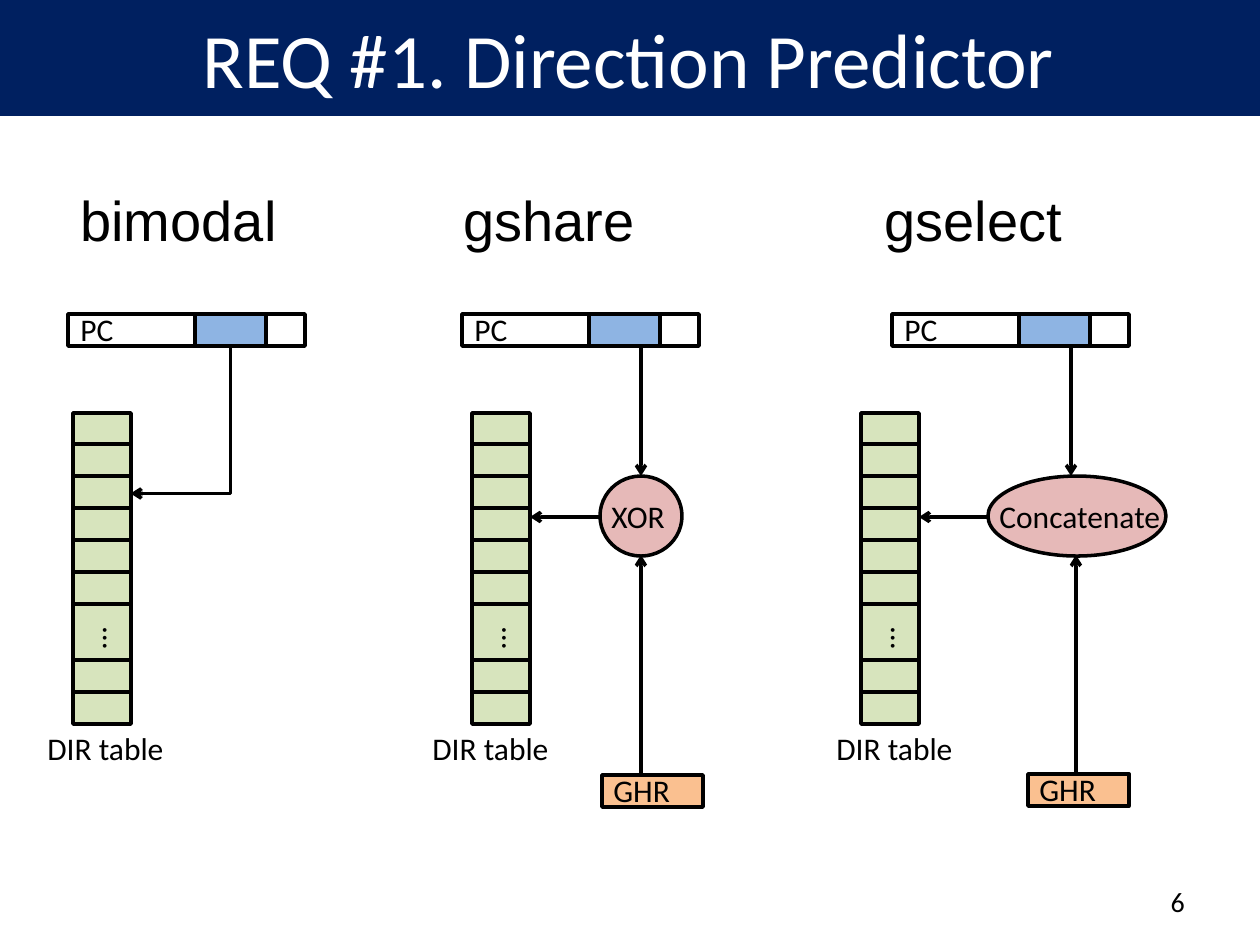
import pptx
import pptx.util
import pptx.oxml
import pptx.oxml.ns
from pptx.dml.color import RGBColor
from pptx.enum.shapes import MSO_CONNECTOR, MSO_SHAPE
from pptx.enum.text import MSO_ANCHOR, MSO_AUTO_SIZE, PP_ALIGN

EMU_PER_PX = 914400 / 126
COLORS = {
    "navy": "002060", "white": "FFFFFF", "black": "000000", "blue": "8EB4E3",
    "green": "D7E4BD", "orange": "FAC090", "pink": "E6B9B8",
}


def px(n):
    return pptx.util.Emu(round(n * EMU_PER_PX))


def rgb(name):
    return RGBColor.from_string(COLORS[name])


def write(tf, text, size=18, font="Calibri", color="black",
          align=PP_ALIGN.LEFT, anchor=MSO_ANCHOR.TOP):
    tf.word_wrap = True
    tf.vertical_anchor = anchor
    p = tf.paragraphs[0]
    p.alignment = align
    r = p.add_run()
    r.text = text
    r.font.size = pptx.util.Pt(size)
    r.font.name = font
    r.font.color.rgb = rgb(color)


class Diagram:
    line_width = 2

    def __init__(self, slide):
        self.s = slide

    def shape(self, x, y, w, h, fill=None, line="black",
              kind=MSO_SHAPE.FLOWCHART_PROCESS):
        sp = self.s.shapes.add_shape(kind, px(x), px(y), px(w), px(h))
        sp.shadow.inherit = False
        if fill:
            sp.fill.solid()
            sp.fill.fore_color.rgb = rgb(fill)
        else:
            sp.fill.background()
        if line:
            sp.line.color.rgb = rgb(line)
            sp.line.width = pptx.util.Pt(self.line_width)
        else:
            sp.line.fill.background()
        return sp

    def text(self, x, y, w, h, text, vertical=False, grow=True, **fmt):
        tf = self.s.shapes.add_textbox(px(x), px(y), px(w), px(h)).text_frame
        write(tf, text, **fmt)
        if grow:
            tf.auto_size = MSO_AUTO_SIZE.SHAPE_TO_FIT_TEXT
        if vertical:
            tf._txBody.bodyPr.set("vert", "eaVert")

    def arrow(self, x1, y1, x2, y2, kind=MSO_CONNECTOR.STRAIGHT):
        c = self.s.shapes.add_connector(kind, px(x1), px(y1), px(x2), px(y2))
        c.line.color.rgb = rgb("black")
        c.line.width = pptx.util.Pt(self.line_width)
        ln = c.line._get_or_add_ln()
        tail = pptx.oxml.parse_xml(
            f'<a:tailEnd {pptx.oxml.ns.nsdecls("a")} type="arrow"/>')
        ln.append(tail)
        c._element.spPr.append(pptx.oxml.parse_xml(
            f'<a:effectLst {pptx.oxml.ns.nsdecls("a")}/>'))
        return c

    def down_left_arrow(self, x1, y1, x2, y2):
        # A single-bend connector turned by 90 degrees about its centre
        w, h = y2 - y1, x1 - x2
        left, top = (x1 + x2 - w) // 2, (y1 + y2 - h) // 2
        c = self.arrow(left, top, left + w, top + h, MSO_CONNECTOR.ELBOW)
        spPr = c._element.spPr
        spPr.find(pptx.oxml.ns.qn("a:xfrm")).set("rot", "5400000")
        spPr.find(pptx.oxml.ns.qn("a:prstGeom")).set("prst", "bentConnector2")

    def heading(self, x, text):
        self.text(x, 179, 237, 81, text, size=32, font="Arial")

    def pc_register(self, x):
        self.shape(x, 314, 237, 32)
        self.text(x, 304, 105, 50, "PC")
        self.shape(x + 127, 314, 71, 32, "blue")

    def dir_table(self, x, label_x):
        top, six_rows, gap, row = 413, 191, 56, 32
        tops = [top + i * six_rows // 6 for i in range(6)]
        gap_top = top + six_rows
        tops += [gap_top + gap, gap_top + gap + row]
        for y in tops:
            self.shape(x, y, 58, row, "green")
        self.shape(x, gap_top, 58, gap, "green")
        self.text(x + 5, 615, 63, 72, "…", vertical=True)
        self.text(label_x, 723, 163, 50, "DIR table")

    def history_register(self, x, y):
        self.shape(x, y, 101, 32, "orange")
        self.text(x - 1, y - 10, 105, 50, "GHR")

    def operator(self, x, w, text, text_w):
        self.shape(x, 476, w, 80, "pink", kind=MSO_SHAPE.OVAL)
        self.text(x - 1, 491, text_w, 50, text)


def main():
    prs = pptx.Presentation()
    prs.slide_width, prs.slide_height = px(1260), px(945)
    d = Diagram(prs.slides.add_slide(prs.slide_layouts[6]))

    # Title bar
    bar = d.shape(-2, 0, 1262, 116, "navy", line=None, kind=MSO_SHAPE.RECTANGLE)
    write(bar.text_frame, "REQ #1. Direction Predictor", size=44, color="white",
          align=PP_ALIGN.CENTER, anchor=MSO_ANCHOR.MIDDLE)

    # Parts shared by the three predictors
    for name, name_x, pc_x, table_x, label_x in (
            ("bimodal", 68, 68, 73, 35),
            ("gshare", 451, 462, 472, 420),
            ("gselect", 872, 892, 861, 824)):
        d.heading(name_x, name)
        d.pc_register(pc_x)
        d.dir_table(table_x, label_x)

    # bimodal: the PC bits index the table directly
    d.down_left_arrow(231, 345, 131, 494)

    # gshare and gselect: PC and history meet in an operator
    for text, op_x, op_w, text_w, pc_x, ghr_x, ghr_y, hist_x, table_right in (
            ("XOR", 600, 82, 105, 641, 602, 775, 641, 530),
            ("Concatenate", 988, 178, 199, 1071, 1028, 774, 1076, 919)):
        d.history_register(ghr_x, ghr_y)
        d.arrow(pc_x, 345, pc_x, 476)
        d.arrow(hist_x, ghr_y, hist_x, 555)
        d.operator(op_x, op_w, text, text_w)
        d.arrow(op_x + 2, 517, table_right, 517)

    # Slide number
    d.text(903, 876, 294, 50, "6", grow=False, size=16,
           align=PP_ALIGN.RIGHT, anchor=MSO_ANCHOR.MIDDLE)

    prs.save("out.pptx")


if __name__ == "__main__":
    main()
